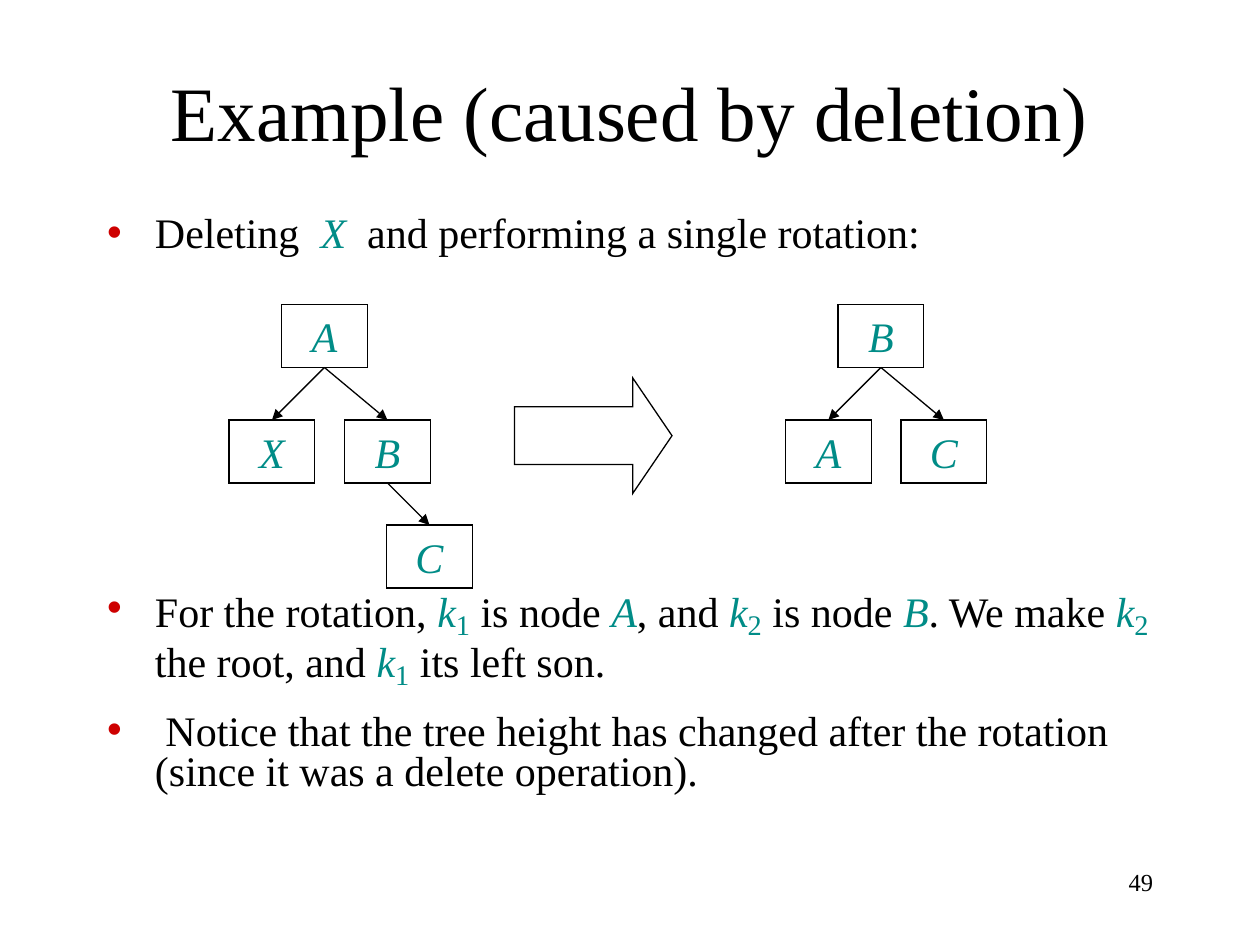
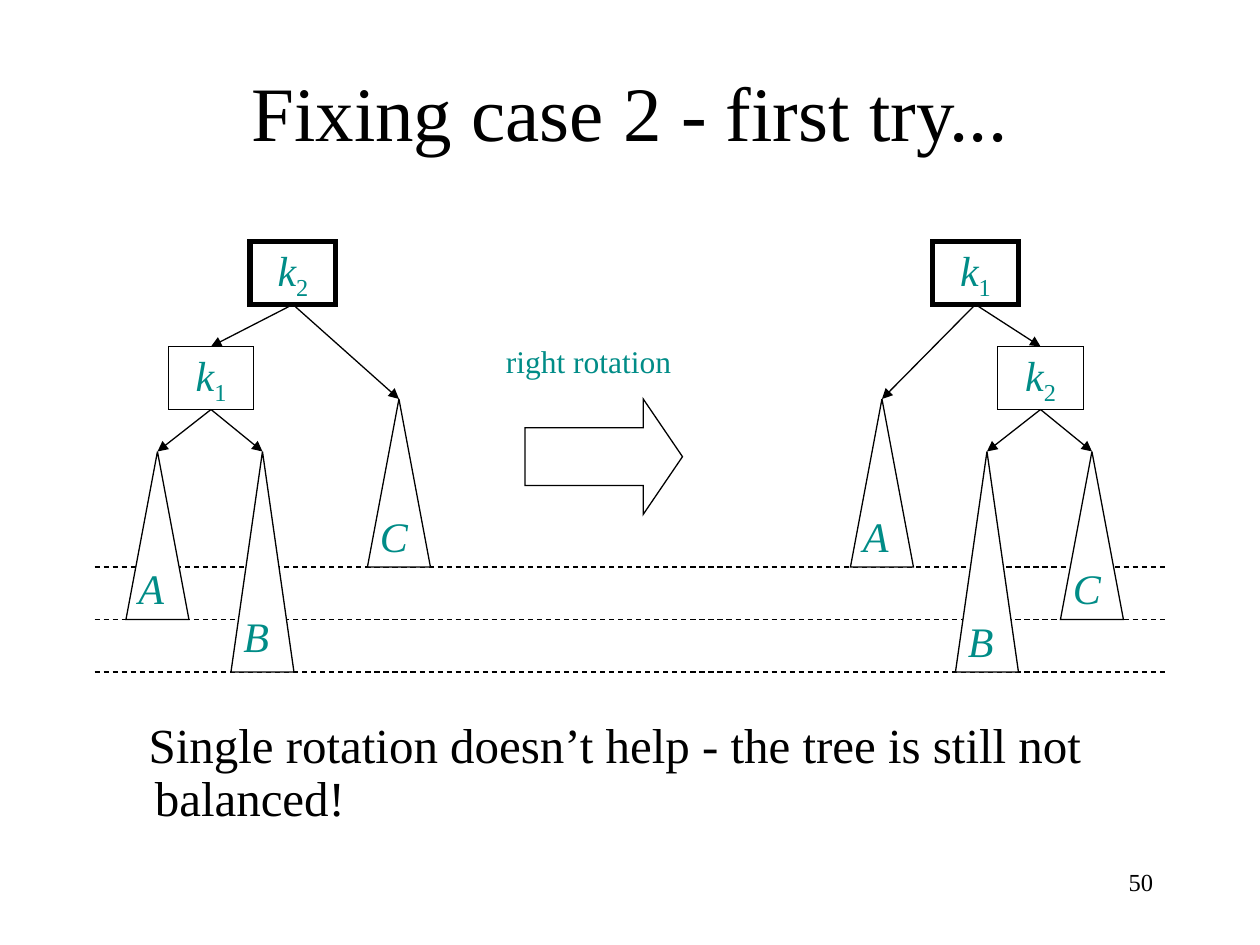
from lxml import etree
from pptx import Presentation, util as u
from pptx.dml.color import RGBColor
from pptx.enum import dml, shapes, text
from pptx.oxml import ns

HUES = {"ink": "000000", "var": "008C87", "dot": "CE0000", "paper": "FFFFFF"}
FACE = "Times New Roman"
UNIT = u.Inches(1) / 12
BOX_W, BOX_H, TRI_W = 8.16, 6, 6
LOW, DEEP = "-16000", "-25000"

STYLES = {
    "ink": ("ink", False, None, None),
    "var": ("var", True, None, None),
    "tag": ("var", False, None, None),
    "sub": ("var", False, 28, LOW),
    "idx": ("var", False, None, DEEP),
}


def ink(words):
    return [(words, "ink")]


def var(words):
    return [(words, "var")]


def key(num, style="sub"):
    return var("k") + [(num, style)]


ROTATE = {
    "title": "Example (caused by deletion)",
    "page": "49",
    "size": 24,
    "inset": 0.05,
    "lines": 0.8,
    "hang": -0.38,
    "dot": True,
    "body": [
        (6, ink("Deleting  ") + var("X") + ink("  and performing a single rotation:")),
        (189, ink("For the rotation, ") + key("1") + ink(" is node ") + var("A")
         + ink(", and ") + key("2") + ink(" is node ") + var("B") + ink(". We make ")
         + key("2") + ink(" the root, and ") + key("1") + ink(" its left son.")),
        (15, ink(" Notice that the tree height has changed after the rotation "
                 "(since it was a delete operation).")),
    ],
    "arrow": (49, 36),
    "rules": [],
    "trees": [
        {"nodes": {"A": (30.9, 29), "X": (25.9, 40), "B": (36.9, 40), "C": (40.9, 50)},
         "tris": {}, "edges": ["AX", "AB", "BC"]},
        {"nodes": {"B": (83.9, 29), "A": (78.9, 40), "C": (89.9, 40)},
         "tris": {}, "edges": ["BA", "BC"]},
    ],
}

RETRY = {
    "title": "Fixing case 2 - first try...",
    "page": "50",
    "size": 28,
    "inset": 4.05,
    "lines": 0.9,
    "hang": -0.05,
    "dot": False,
    "body": [(0, ink("Single rotation doesn’t help - the tree is still not balanced!"))],
    "arrow": (50, 38),
    "label": ("right rotation", (47, 32, 20, 4.8)),
    "rules": [54, 59, 64],
    "trees": [
        {"nodes": {"2": (27.9, 23), "1": (20.1, 33)},
         "tris": {"A": (15, 43, 59, 6), "B": (25, 43, 64, 6.4), "C": (38, 38, 54, 6)},
         "edges": ["21", "2C", "1A", "1B"]},
        {"nodes": {"1": (92.9, 23), "2": (99.1, 33)},
         "tris": {"A": (84, 38, 54, 6), "B": (94, 43, 64, 6), "C": (104, 43, 59, 6)},
         "edges": ["1A", "12", "2B", "2C"]},
    ],
}


def grid(*cells):
    return [u.Emu(round(c * UNIT)) for c in cells]


def hue(name):
    return RGBColor.from_string(HUES[name])


def write(para, runs, size):
    for words, style in runs:
        tint, slant, big, drop = STYLES[style]
        run = para.add_run()
        run.text = words
        run.font.name = FACE
        run.font.size = u.Pt(big or size)
        run.font.italic = slant
        run.font.color.rgb = hue(tint)
        if drop:
            run.font._element.set("baseline", drop)


def bullet(para, hang, dot):
    prop = para._p.get_or_add_pPr()
    prop.set("marL", str(u.Inches(0.38)))
    prop.set("indent", str(u.Inches(hang)))
    if not dot:
        etree.SubElement(prop, ns.qn("a:buNone"))
        return
    tint = etree.SubElement(prop, ns.qn("a:buClr"))
    etree.SubElement(tint, ns.qn("a:srgbClr"), val=HUES["dot"])
    etree.SubElement(prop, ns.qn("a:buChar"), char="•")


def outline(shape, fill=None, width=0.75):
    shape.shadow.inherit = False
    if fill:
        shape.fill.solid()
        shape.fill.fore_color.rgb = hue(fill)
    else:
        shape.fill.background()
    shape.line.color.rgb = hue("ink")
    shape.line.width = u.Pt(width)
    etree.SubElement(shape.line._get_or_add_ln(), ns.qn("a:miter"), lim="800000")


def place(shape, left, top, wide, high):
    shape.left, shape.top = u.Inches(left), u.Inches(top)
    shape.width, shape.height = u.Inches(wide), u.Inches(high)


def note(slide, cells, runs, size, align=text.PP_ALIGN.LEFT, wrap=True):
    frame = slide.shapes.add_textbox(*grid(*cells)).text_frame
    frame.word_wrap = wrap
    frame.paragraphs[0].alignment = align
    write(frame.paragraphs[0], runs, size)


def line(slide, start, end):
    link = slide.shapes.add_connector(
        shapes.MSO_CONNECTOR.STRAIGHT, *grid(*start, *end))
    link.line.color.rgb = hue("ink")
    link.line.width = u.Pt(0.75)
    etree.SubElement(link._element.spPr, ns.qn("a:effectLst"))
    return link


def node(slide, name, mid, top, root, keyed):
    box = slide.shapes.add_shape(
        shapes.MSO_SHAPE.RECTANGLE, *grid(mid - BOX_W / 2, top, BOX_W, BOX_H))
    outline(box, width=3 if root and keyed else 0.75)
    frame = box.text_frame
    frame.word_wrap = False
    frame.vertical_anchor = text.MSO_ANCHOR.MIDDLE
    frame.paragraphs[0].alignment = text.PP_ALIGN.CENTER
    write(frame.paragraphs[0], key(name, "idx") if keyed else var(name), 24)
    return box


def triangle(slide, name, mid, top, base, lift):
    left = mid - TRI_W / 2
    ends = [grid(*spot) for spot in ((left, base), (left + TRI_W, base), (mid, top))]
    pen = slide.shapes.build_freeform(*ends[0])
    pen.add_line_segments(ends[1:], close=True)
    outline(pen.convert_to_shape(), "paper")
    note(slide, (left, base - lift, 4.8, 6), var(name), 24, wrap=False)


def grow(slide, tree):
    nodes, tris = tree["nodes"], tree["tris"]
    boxes = {}
    for name, (mid, top) in nodes.items():
        boxes[name] = node(slide, name, mid, top, not boxes, bool(tris))
    for name, cells in tris.items():
        triangle(slide, name, *cells)
    for head, tail in tree["edges"]:
        mid, top = nodes[head]
        goal = (nodes.get(tail) or tris[tail])[:2]
        link = line(slide, (mid, top + BOX_H), goal)
        link.begin_connect(boxes[head], 2)
        if tail in boxes:
            link.end_connect(boxes[tail], 0)
        etree.SubElement(link.line._get_or_add_ln(), ns.qn("a:tailEnd"), type="triangle")


def build(deck, page):
    slide = deck.slides.add_slide(deck.slide_layouts[1])
    title, body = slide.placeholders
    place(title, 0.75, 0.25, 8.5, 1.25)
    place(body, 0.75, 1.67, 8.5, 5)

    title.text_frame.vertical_anchor = text.MSO_ANCHOR.MIDDLE
    title.text_frame.auto_size = text.MSO_AUTO_SIZE.NONE
    title.text_frame.paragraphs[0].alignment = text.PP_ALIGN.CENTER
    write(title.text_frame.paragraphs[0], ink(page["title"]), 44)

    frame = body.text_frame
    frame.auto_size = text.MSO_AUTO_SIZE.NONE
    frame.margin_top = u.Inches(page["inset"])
    for i, (gap, runs) in enumerate(page["body"]):
        para = frame.add_paragraph() if i else frame.paragraphs[0]
        para.line_spacing = page["lines"]
        para.space_before = u.Pt(gap)
        bullet(para, page["hang"], page["dot"])
        write(para, runs, page["size"])

    for row in page["rules"]:
        line(slide, (9, row), (111, row)).line.dash_style = dml.MSO_LINE.DASH
    for tree in page["trees"]:
        grow(slide, tree)

    arrow = slide.shapes.add_shape(
        shapes.MSO_SHAPE.RIGHT_ARROW, *grid(*page["arrow"], 15, 11))
    arrow.adjustments[0], arrow.adjustments[1] = 0.5, 0.34
    outline(arrow, "paper")
    if "label" in page:
        words, cells = page["label"]
        note(slide, cells, [(words, "tag")], 18)
    note(slide, (86, 82, 25, 6), ink(page["page"]), 14, text.PP_ALIGN.RIGHT)


def main():
    deck = Presentation()
    deck.slide_width, deck.slide_height = u.Inches(10), u.Inches(7.5)
    for page in (ROTATE, RETRY):
        build(deck, page)
    deck.save("out.pptx")


if __name__ == "__main__":
    main()
